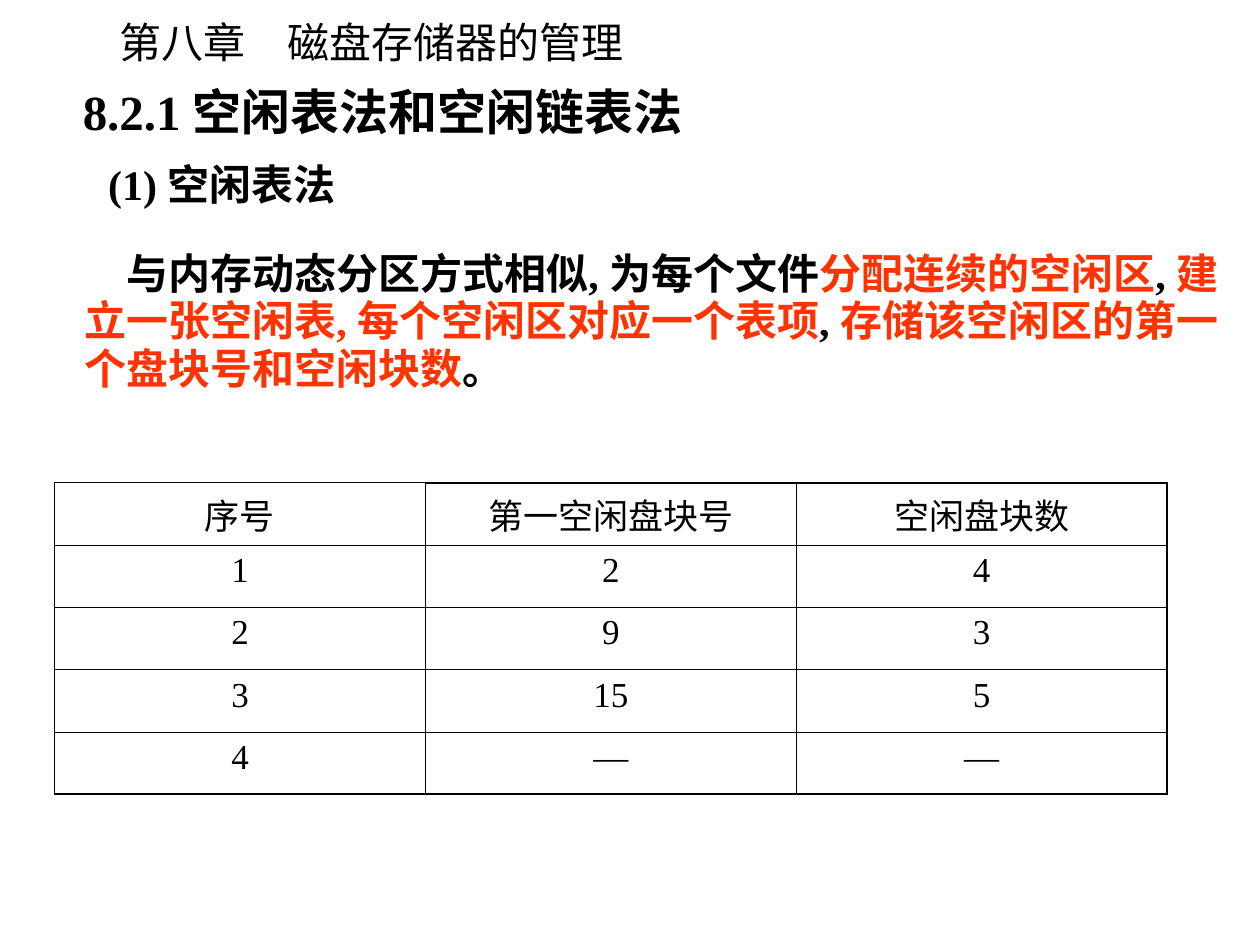
import lxml.etree
import pptx
import pptx.dml.color
import pptx.enum.text
import pptx.oxml.ns
import pptx.util

Cm = pptx.util.Cm
Pt = pptx.util.Pt
COLORS = {"ink": "000000", "accent": "FF3300"}
LATIN = "Times New Roman"
CJK = "Noto Sans CJK SC"
THIN, THICK = 0.45, 1.08


def add_run(paragraph, text, color="ink", **formats):
    """Add a run with the given font values and the East Asian typeface."""
    run = paragraph.add_run()
    run.text = text
    for name, value in ({"name": LATIN} | formats).items():
        setattr(run.font, name, value)
    run.font.color.rgb = pptx.dml.color.RGBColor.from_string(COLORS[color])
    properties = run.font._element
    east_asian = lxml.etree.SubElement(properties, pptx.oxml.ns.qn("a:ea"))
    east_asian.set("typeface", CJK)


def add_text(slide, box, wrap=False):
    """Add an empty text box and return its first paragraph."""
    shape = slide.shapes.add_textbox(*(Cm(length) for length in box))
    shape.text_frame.word_wrap = wrap
    return shape.text_frame.paragraphs[0]


def add_headings(slide, box):
    """Place the chapter, section and topic headings in the box."""
    left, top, width, height = box
    headings = [
        ("第八章\u3000磁盘存储器的管理".replace("\u3000", "　"), 0.74, 0, 1.27,
         {"size": Pt(24), "name": CJK}),
        ("8.2.1 空闲表法和空闲链表法", 0, 1.32, 1.45, {"size": Pt(28), "bold": True}),
        ("(1) 空闲表法", 0.51, 2.87, 1.27, {"size": Pt(24), "bold": True}),
    ]
    for text, indent, offset, line_height, formats in headings:
        line_box = (left + indent, top + offset, width - indent, line_height)
        add_run(add_text(slide, line_box), text, **formats)


def add_description(slide, box):
    """Place the explanation of the free table method in the box."""
    paragraph = add_text(slide, box, wrap=True)
    paragraph.line_spacing = 0.95
    paragraph._p.get_or_add_pPr().set("indent", str(Cm(0.85)))
    parts = [
        ("与内存动态分区方式相似, 为每个文件", "ink"),
        ("分配连续的空闲区", "accent"),
        (", ", "ink"),
        ("建立一张空闲表, 每个空闲区对应一个表项", "accent"),
        (", ", "ink"),
        ("存储该空闲区的第一个盘块号和空闲块数", "accent"),
        ("。", "ink"),
    ]
    for text, color in parts:
        add_run(paragraph, text, color, size=Pt(24), bold=True)


def set_borders(cell, widths):
    """Draw the cell's borders, given as side and width in points."""
    properties = cell._tc.get_or_add_tcPr()
    for side, width in widths.items():
        line = lxml.etree.SubElement(properties, pptx.oxml.ns.qn(f"a:ln{side}"))
        line.set("w", str(Pt(width)))
        fill = lxml.etree.SubElement(line, pptx.oxml.ns.qn("a:solidFill"))
        color = lxml.etree.SubElement(fill, pptx.oxml.ns.qn("a:srgbClr"))
        color.set("val", COLORS["ink"])


def add_free_table(slide, box):
    """Place the table of free block areas in the box."""
    rows = [
        ("序号", "第一空闲盘块号", "空闲盘块数"),
        ("1", "2", "4"),
        ("2", "9", "3"),
        ("3", "15", "5"),
        ("4", "—", "—"),
    ]
    last_row, last_column = len(rows) - 1, len(rows[0]) - 1
    lengths = [Cm(length) for length in box]
    table = slide.shapes.add_table(len(rows), len(rows[0]), *lengths).table
    table.first_row = table.horz_banding = False
    for row, texts in enumerate(rows):
        for column, text in enumerate(texts):
            cell = table.cell(row, column)
            set_borders(cell, {
                "L": THICK if column == 0 else THIN,
                "R": THICK if column == last_column else THIN,
                "T": THICK if row == 0 and column > 0 else THIN,
                "B": THICK if row == last_row else THIN,
            })
            cell.fill.background()
            paragraph = cell.text_frame.paragraphs[0]
            paragraph.alignment = pptx.enum.text.PP_ALIGN.CENTER
            add_run(paragraph, text, size=Pt(20))


def main():
    """Build the slide and save the presentation."""
    presentation = pptx.Presentation()
    presentation.slide_width, presentation.slide_height = Cm(25.4), Cm(19.05)
    slide = presentation.slides.add_slide(presentation.slide_layouts[6])
    add_headings(slide, (1.42, 0.2, 13.06, 4.14))
    add_free_table(slide, (1.1, 9.73, 22.43, 6.28))
    add_description(slide, (1.45, 4.93, 23.42, 3.15))
    presentation.save("out.pptx")


if __name__ == "__main__":
    main()
